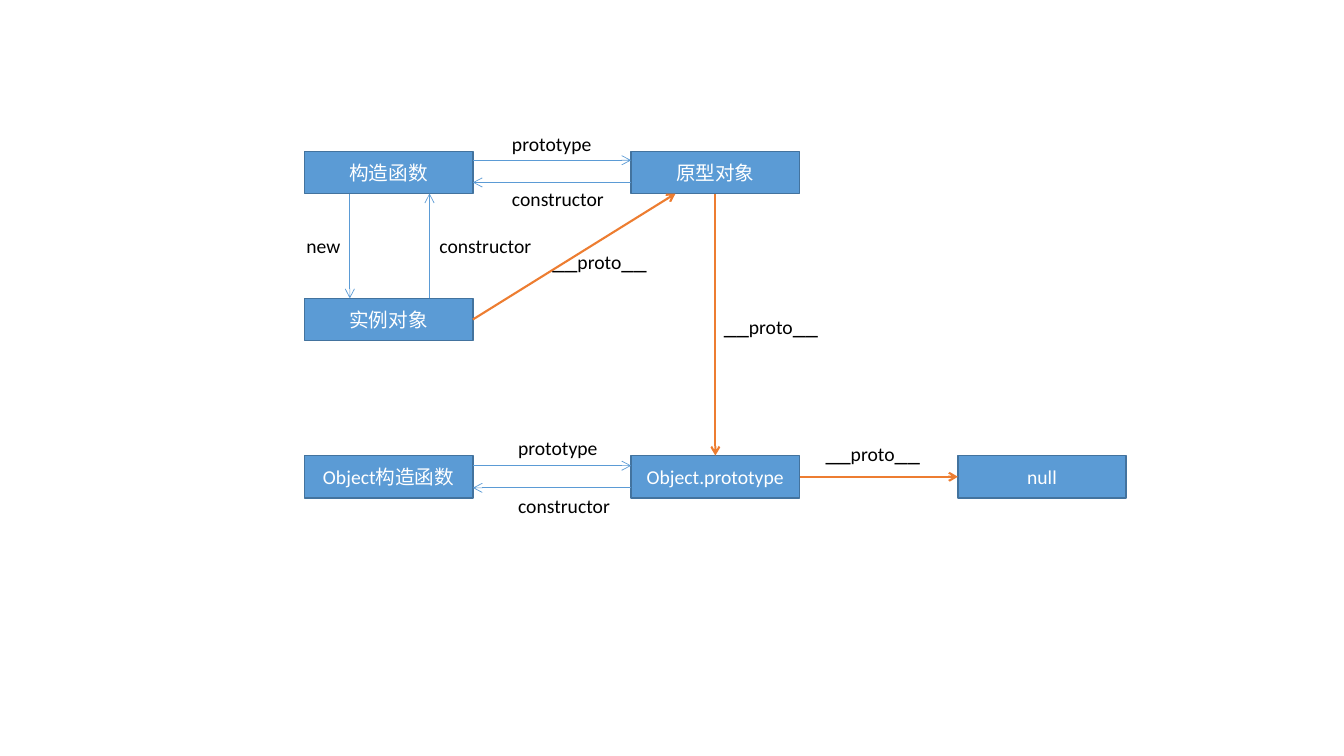
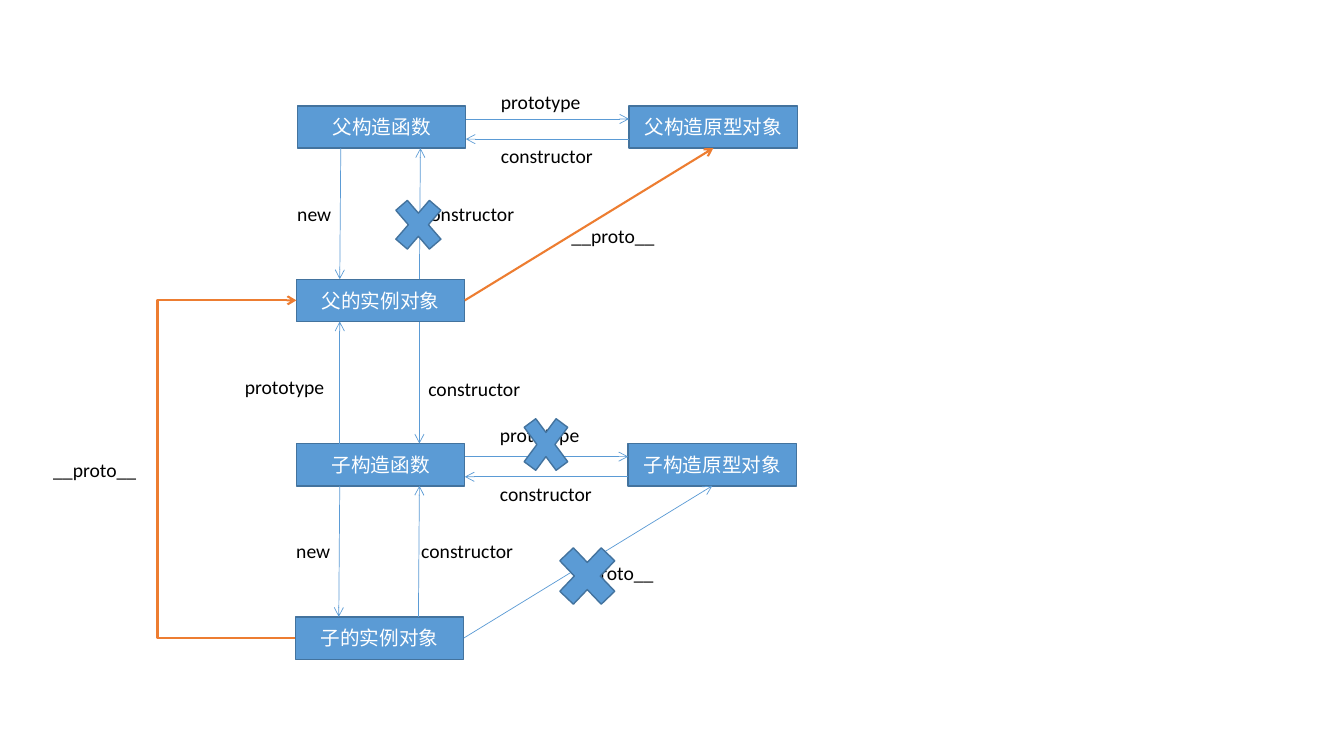
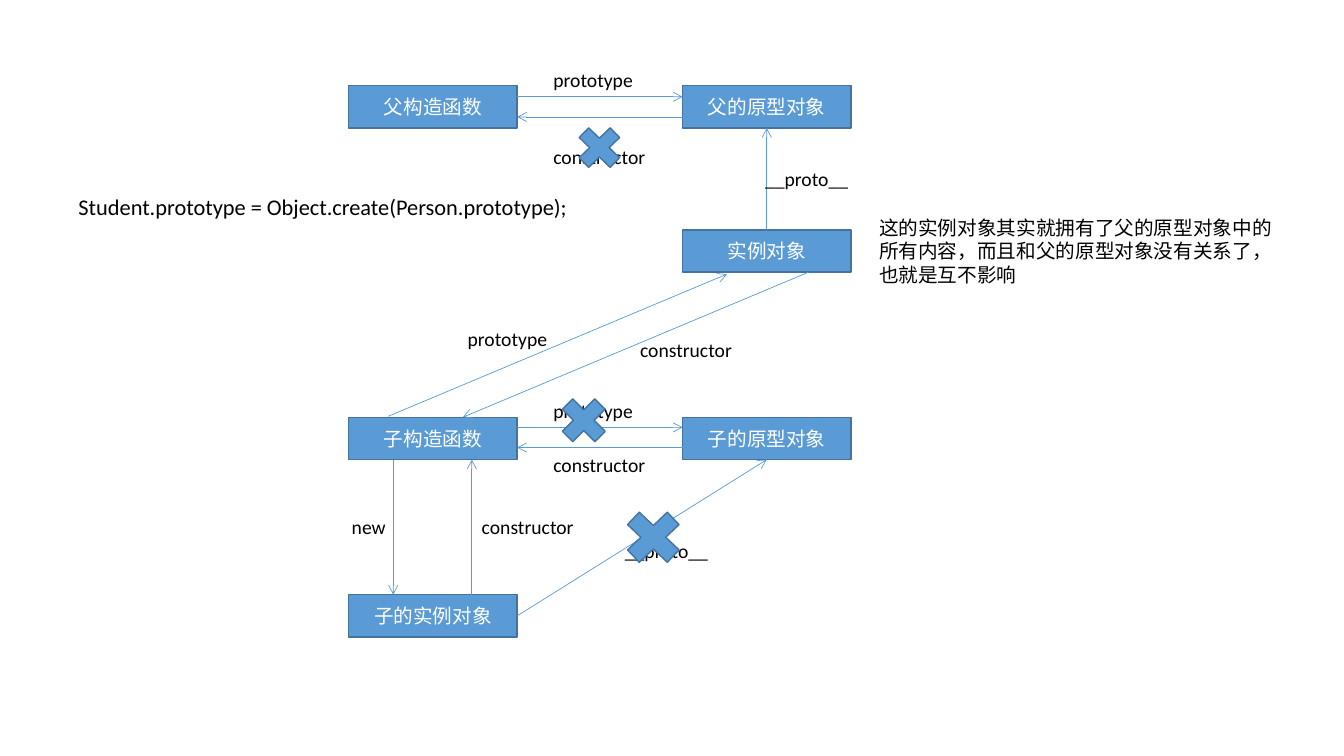
from dataclasses import dataclass

from lxml import etree
from pptx import Presentation
from pptx import util as u
from pptx.dml.color import RGBColor
from pptx.enum import shapes, text
from pptx.oxml import ns


@dataclass(frozen=True)
class Theme:
    fill: RGBColor = RGBColor.from_string("5B9BD5")
    outline: RGBColor = RGBColor.from_string("43739E")
    accent: RGBColor = RGBColor.from_string("ED7D31")
    ink: RGBColor = RGBColor.from_string("000000")
    paper: RGBColor = RGBColor.from_string("FFFFFF")
    font: str = "Calibri"
    body: int = 14
    code: int = 16
    large: int = 18
    outline_width: float = 1
    thin: float = 0.5
    thick: float = 1.5


T = Theme()
NODE_W, NODE_H = 1.67, 0.42
TOP, LEFT, BOTTOM, RIGHT = range(4)


# Text and shapes
def style_run(r, color, size=T.body):
    r.font.name = T.font
    r.font.size = u.Pt(size)
    r.font.color.rgb = color


def preset(s, kind, x, y, w, h):
    sp = s.shapes.add_shape(kind, *map(u.Inches, (x, y, w, h)))
    sp.shadow.inherit = False
    sp.fill.solid()
    sp.fill.fore_color.rgb = T.fill
    sp.line.color.rgb = T.outline
    sp.line.width = u.Pt(T.outline_width)
    return sp


def node(s, x, y, words):
    sp = preset(s, shapes.MSO_SHAPE.RECTANGLE, x, y, NODE_W, NODE_H)
    tf = sp.text_frame
    tf.text = words
    tf.vertical_anchor = text.MSO_ANCHOR.MIDDLE
    p = tf.paragraphs[0]
    p.alignment = text.PP_ALIGN.CENTER
    style_run(p.runs[0], T.paper)
    return sp


def cross(s, x, y, w, h):
    preset(s, shapes.MSO_SHAPE.MATH_MULTIPLY, x, y, w, h)


def text_box(s, x, y, w, h):
    tf = s.shapes.add_textbox(*map(u.Inches, (x, y, w, h))).text_frame
    tf.word_wrap = True
    tf.auto_size = text.MSO_AUTO_SIZE.SHAPE_TO_FIT_TEXT
    return tf


def label(s, words, x, y, w=1.13, h=0.34, size=T.body):
    tf = text_box(s, x, y, w, h)
    tf.text = words
    style_run(tf.paragraphs[0].runs[0], T.ink, size)


def large_proto(s, x, y):
    p = text_box(s, x, y, 1.25, 0.4).paragraphs[0]
    for words, size in (("__", T.large), ("proto", T.body), ("__", T.large)):
        r = p.add_run()
        r.text = words
        style_run(r, T.ink, size)


# Connectors: each end is a point (x, y) or a joined side (shape, side)
def is_joined(end):
    return hasattr(end[0], "shape_id")


def arrow(s, start, end, strong=False, kind=shapes.MSO_CONNECTOR.STRAIGHT):
    points = [(0, 0) if is_joined(e) else e for e in (start, end)]
    c = s.shapes.add_connector(kind, *(u.Inches(v) for pt in points for v in pt))
    if is_joined(start):
        c.begin_connect(*start)
    if is_joined(end):
        c.end_connect(*end)
    c.line.color.rgb = T.accent if strong else T.fill
    c.line.width = u.Pt(T.thick if strong else T.thin)
    ln = c.line._get_or_add_ln()
    etree.SubElement(ln, ns.qn("a:tailEnd"), type="arrow")
    etree.SubElement(ln.getparent(), ns.qn("a:effectLst"))
    return c


def detour(s, start, end, via_x):
    c = arrow(s, start, end, True, shapes.MSO_CONNECTOR.ELBOW)
    bend = round((u.Inches(via_x) - c.begin_x) / (c.end_x - c.begin_x) * 100000)
    guides = c._element.find(".//" + ns.qn("a:prstGeom")).get_or_add_avLst()
    etree.SubElement(guides, ns.qn("a:gd"), name="adj1", fmla=f"val {bend}")


# Opposite arrows between two nodes, each with its label
def row_pair(s, left, right, offsets, label_x, label_ys):
    x1, x2 = left.left.inches + NODE_W, right.left.inches
    there, back = (left.top.inches + d for d in offsets)
    arrow(s, (x1, there), (x2, there))
    arrow(s, (x2, back), (x1, back))
    for words, y in zip(("prototype", "constructor"), label_ys):
        label(s, words, label_x, y)


def column_pair(s, upper, lower, first, second, offsets=(0.43, 1.22), first_down=True):
    for d, down in zip(offsets, (first_down, not first_down)):
        ends = [(upper.left.inches + d, upper.top.inches + NODE_H),
                (lower.left.inches + d, lower.top.inches)]
        arrow(s, *(ends if down else ends[::-1]))
    label(s, *first)
    label(s, *second)


# Slides
def prototype_chain(s):
    x1, x2, x3 = (3.02 + 3.24 * i for i in range(3))
    maker = node(s, x1, 1.5, "构造函数")
    instance = node(s, x1, 2.96, "实例对象")
    proto = node(s, x2, 1.5, "原型对象")
    object_maker = node(s, x1, 4.52, "Object构造函数")
    object_proto = node(s, x2, 4.52, "Object.prototype")
    null = node(s, x3, 4.52, "null")
    column_pair(s, maker, instance, ("new", 2.94, 2.27, 0.6),
                ("constructor", 4.26, 2.27), (0.45, 1.24))
    row_pair(s, maker, proto, (0.09, 0.31), 4.98, (1.26, 1.81))
    row_pair(s, object_maker, object_proto, (0.1, 0.32), 5.04, (4.28, 4.85))
    arrow(s, (instance, RIGHT), (6.7, 1.92), True)
    arrow(s, (proto, BOTTOM), (object_proto, TOP), True)
    arrow(s, (object_proto, RIGHT), (null, LEFT), True)
    for x, y in ((5.38, 2.37), (7.08, 3.02), (8.09, 4.28)):
        large_proto(s, x, y)


def instance_as_prototype(s):
    parent = node(s, 2.95, 1.05, "父构造函数")
    parent_proto = node(s, 6.24, 1.05, "父构造原型对象")
    parent_instance = node(s, 2.94, 2.77, "父的实例对象")
    child = node(s, 2.94, 4.4, "子构造函数")
    child_proto = node(s, 6.23, 4.4, "子构造原型对象")
    child_instance = node(s, 2.93, 6.12, "子的实例对象")
    column_pair(s, parent, parent_instance, ("new", 2.85, 1.95, 0.6),
                ("constructor", 4.09, 1.95))
    column_pair(s, parent_instance, child, ("prototype", 2.33, 3.67),
                ("constructor", 4.15, 3.69), first_down=False)
    column_pair(s, child, child_instance, ("new", 2.84, 5.3, 0.6),
                ("constructor", 4.08, 5.3))
    row_pair(s, parent, parent_proto, (0.13, 0.33), 4.87, (0.84, 1.38))
    row_pair(s, child, child_proto, (0.13, 0.33), 4.86, (4.15, 4.73))
    arrow(s, (parent_instance, RIGHT), (parent_proto, BOTTOM), True)
    arrow(s, (child_instance, RIGHT), (child_proto, BOTTOM))
    detour(s, (child_instance, LEFT), (parent_instance, LEFT), 1.54)
    for x, y in ((5.57, 2.17), (5.56, 5.52), (0.43, 4.49)):
        label(s, "__proto__", x, y)
    cross(s, 5.11, 4, 0.61, 0.82)
    cross(s, 3.83, 1.86, 0.64, 0.74)
    cross(s, 5.43, 5.3, 0.79, 0.83)


def object_create(s):
    x1, x2 = 3.46, 6.77
    parent = node(s, x1, 0.85, "父构造函数")
    parent_proto = node(s, x2, 0.85, "父的原型对象")
    instance = node(s, x2, 2.28, "实例对象")
    child = node(s, x1, 4.14, "子构造函数")
    child_proto = node(s, x2, 4.14, "子的原型对象")
    child_instance = node(s, x1, 5.9, "子的实例对象")
    row_pair(s, parent, parent_proto, (0.11, 0.31), 5.39, (0.62, 1.39))
    row_pair(s, child, child_proto, (0.1, 0.3), 5.39, (3.91, 4.44))
    column_pair(s, child, child_instance, ("new", 3.39, 5.06, 0.58),
                ("constructor", 4.68, 5.06), (0.44, 1.22))
    arrow(s, (child_instance, RIGHT), (child_proto, BOTTOM))
    arrow(s, (instance, TOP), (parent_proto, BOTTOM))
    arrow(s, (3.85, 4.13), (7.21, 2.72))
    arrow(s, (8.02, 2.7), (4.59, 4.14))
    label(s, "prototype", 4.54, 3.19)
    label(s, "constructor", 6.25, 3.3)
    label(s, "__proto__", 6.1, 5.3)
    label(s, "__proto__", 7.49, 1.61)
    label(s, "Student.prototype = Object.create(Person.prototype);",
          0.68, 1.87, 6.18, 0.37, T.code)
    label(s, "这的实例对象其实就拥有了父的原型对象中的所有内容，"
             "而且和父的原型对象没有关系了，也就是互不影响", 8.62, 2.09, 4.17, 0.81)
    cross(s, 5.48, 3.86, 0.62, 0.62)
    cross(s, 5.65, 1.18, 0.59, 0.57)
    cross(s, 6.1, 4.97, 0.76, 0.72)


def main():
    prs = Presentation()
    prs.slide_width, prs.slide_height = u.Inches(13.33), u.Inches(7.5)
    for build in (prototype_chain, instance_as_prototype, object_create):
        build(prs.slides.add_slide(prs.slide_layouts[6]))
    prs.save("out.pptx")


if __name__ == "__main__":
    main()
